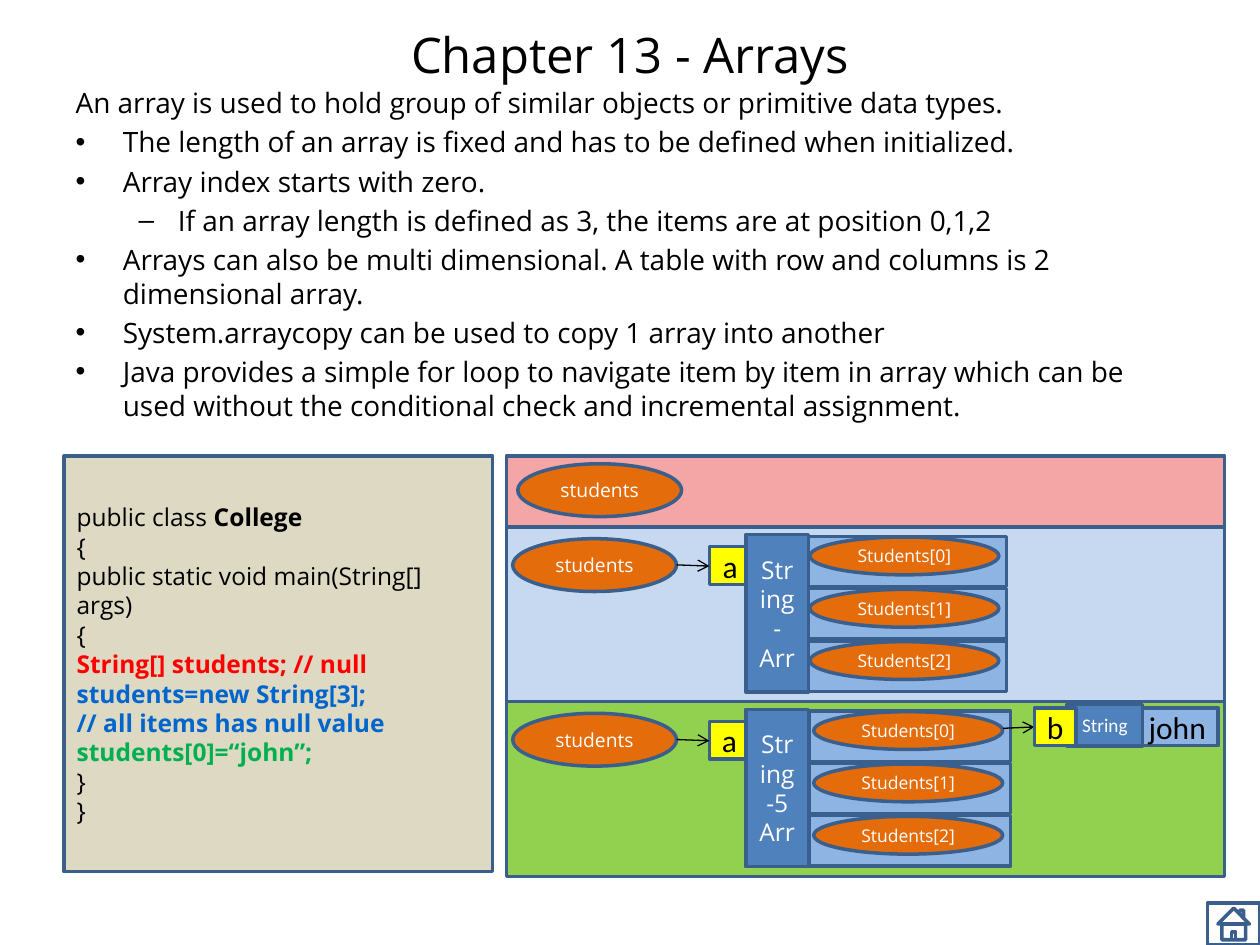
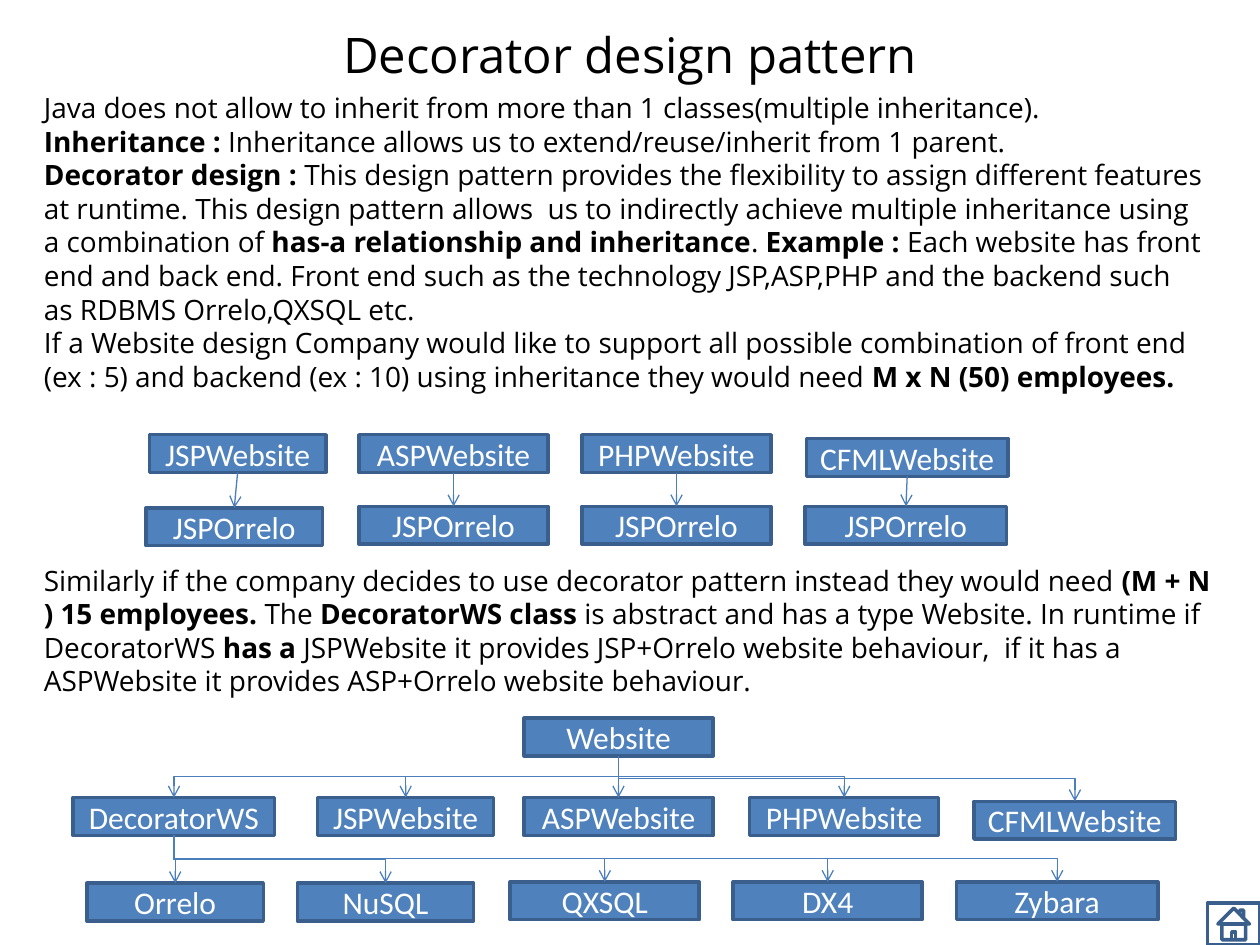
from lxml import etree
from pptx import Presentation
from pptx.dml.color import RGBColor
from pptx.enum.shapes import MSO_CONNECTOR, MSO_SHAPE
from pptx.enum.text import MSO_ANCHOR, PP_ALIGN
from pptx.oxml.ns import qn
from pptx.util import Pt

RECT = MSO_SHAPE.RECTANGLE
OVAL = MSO_SHAPE.OVAL
HOME = MSO_SHAPE.ACTION_BUTTON_HOME
STRAIGHT = MSO_CONNECTOR.STRAIGHT
ELBOW = MSO_CONNECTOR.ELBOW
LEFT, MID, RIGHT = PP_ALIGN.LEFT, PP_ALIGN.CENTER, PP_ALIGN.RIGHT
CENTER = MSO_ANCHOR.MIDDLE
SANS, PLAIN = "Open Sans", "Calibri"
BLACK, WHITE, EDGE, LINK = "000000", "FFFFFF", "3A5F8C", "4B7EBC"
BLUE, PALE, SKY = "4F81BD", "C6D9F1", "8EB4E3"
ORANGE, YELLOW, GREEN, PINK, SAND = "E46C0A", "FFFF00", "92D050", "F4A6A6", "DDD9C3"
RED, NAVY, LEAF = "FF0000", "0066CC", "00B050"

POINTS = [
    (0, "An array is used to hold group of similar objects or primitive data types."),
    (0, "The length of an array is fixed and has to be defined when initialized."),
    (0, "Array index starts with zero."),
    (1, "If an array length is defined as 3, the items are at position 0,1,2"),
    (0, "Arrays can also be multi dimensional. A table with row and columns is 2 "
        "dimensional array."),
    (0, "System.arraycopy can be used to copy 1 array into another"),
    (0, "Java provides a simple for loop to navigate item by item in array which can be "
        "used without the conditional check and incremental assignment."),
]
CODE = [
    ("public class *College*", BLACK),
    ("{", BLACK),
    ("public static void main(String[] args)", BLACK),
    ("{", BLACK),
    ("*String[] students; // null*", RED),
    ("*students=new String[3];*", NAVY),
    ("*// all items has null value*", NAVY),
    ("*students[0]=“john”;*", LEAF),
    ("}", BLACK),
    ("}", BLACK),
]
INTRO = [
    "Java does not allow to inherit from more than 1 classes(multiple inheritance).",
    "*Inheritance : *Inheritance allows us to extend/reuse/inherit from 1 parent.",
    "*Decorator design : *This design pattern provides the flexibility to assign different "
    "features at runtime. This design pattern allows  us to indirectly achieve multiple "
    "inheritance using a combination of *has-a relationship and inheritance*. *Example : *"
    "Each website has front end and back end. Front end such as the technology JSP,ASP,PHP "
    "and the backend such as RDBMS Orrelo,QXSQL etc.",
    "If a Website design Company would like to support all possible combination of front end "
    "(ex : 5) and backend (ex : 10) using inheritance they would need "
    "*M x N (50) employees.*",
]
OUTCOME = [
    "Similarly if the company decides to use decorator pattern instead they would need "
    "*(M + N ) 15 employees. *The *DecoratorWS class *is abstract and has a type Website. "
    "In runtime if DecoratorWS *has a *JSPWebsite it provides JSP+Orrelo website behaviour,  "
    "if it has a ASPWebsite it provides ASP+Orrelo website behaviour.",
]
SITES = ["JSPWebsite", "ASPWebsite", "PHPWebsite", "CFMLWebsite"]
WIDTHS = [100.8, 108, 108, 115.2]


def rgb(code):
    return RGBColor.from_string(code)


def style(run, size, color=BLACK, face=SANS, bold=False):
    run.font.size = Pt(size)
    run.font.name = face
    run.font.bold = bold
    run.font.color.rgb = rgb(color)


def place(shape, left, top, width, height):
    shape.left, shape.top = Pt(left), Pt(top)
    shape.width, shape.height = Pt(width), Pt(height)


def write(frame, lines, size, align=LEFT):
    for num, (text, color) in enumerate(lines):
        para = frame.add_paragraph() if num else frame.paragraphs[0]
        para.alignment = align
        for part, words in enumerate(text.split("*")):
            if words:
                run = para.add_run()
                run.text = words
                style(run, size, color, bold=part % 2 == 1)


def box(slide, kind, area, fill, text="", size=18, color=WHITE, face=PLAIN, align=MID):
    shape = slide.shapes.add_shape(kind, *map(Pt, area))
    shape.shadow.inherit = False
    if fill:
        shape.fill.solid()
        shape.fill.fore_color.rgb = rgb(fill)
    else:
        shape.fill.background()
    shape.line.color.rgb = rgb(EDGE)
    shape.line.width = Pt(2)
    if text:
        shape.text_frame.text = text
        for para in shape.text_frame.paragraphs:
            para.alignment = align
            for run in para.runs:
                style(run, size, color, face)
    return shape


def finish(line, color):
    line.line.color.rgb = rgb(color)
    line.line.width = Pt(0.75)
    props = line._element.spPr
    tail = etree.SubElement(props.find(qn("a:ln")), qn("a:tailEnd"))
    tail.set("type", "arrow")
    etree.SubElement(props, qn("a:effectLst"))


def arrow(slide, ends, color=BLACK):
    finish(slide.shapes.add_connector(STRAIGHT, *ends), color)


def middle(shape):
    return shape.left + shape.width // 2


def drop(slide, upper, lower):
    arrow(slide, (middle(upper), upper.top + upper.height, middle(lower), lower.top), LINK)


def branch(slide, upper, lower):
    start, end = middle(upper), middle(lower)
    top = upper.top + upper.height
    half, tall = abs(end - start) // 2, (lower.top - top) // 2
    x, y = (start + end) // 2, top + tall
    line = slide.shapes.add_connector(ELBOW, x - tall, y - half, x + tall, y + half)
    frame = line._element.spPr.find(qn("a:xfrm"))
    if end < start:
        frame.set("rot", "5400000")
    else:
        frame.set("rot", "16200000")
        frame.set("flipH", "1")
    finish(line, LINK)


def start(deck, layout, title):
    slide = deck.slides.add_slide(deck.slide_layouts[layout])
    head = slide.shapes.title
    place(head, 36, 3, 648, 56)
    head.text_frame.text = title
    head.text_frame.vertical_anchor = CENTER
    para = head.text_frame.paragraphs[0]
    para.alignment = MID
    style(para.runs[0], 28)
    box(slide, HOME, (690, 516, 30, 24), None)
    return slide


def bullets(slide):
    body = slide.placeholders[1]
    place(body, 36, 45.4, 648, 450)
    frame = body.text_frame
    frame.text = "\n".join(text for _, text in POINTS)
    for para, (level, _) in zip(frame.paragraphs, POINTS):
        para.level = level
        style(para.runs[0], 16)
    etree.SubElement(frame.paragraphs[0]._p.get_or_add_pPr(), qn("a:buNone"))


def prose(slide, top, height, lines, width):
    area = slide.shapes.add_textbox(Pt(18), Pt(top), Pt(width), Pt(height))
    area.text_frame.word_wrap = True
    write(area.text_frame, [(text, BLACK) for text in lines], 16)


def name(slide, left, top):
    box(slide, OVAL, (left, top, 93.6, 30.2), ORANGE, "students", 11, face=SANS)


def tag(slide, left, top, text, width=23.8):
    box(slide, RECT, (left, top, width, 21.6), YELLOW, text, color=BLACK)


def array(slide, top, fill, label, shift, wide):
    box(slide, RECT, (289.4, top, 410.4, 100), fill)
    name(slide, 293, top + 6.6)
    tag(slide, 405.4, top + 11.2, "a", wide)
    arrow(slide, map(Pt, (386.6, top + 21.6, 405.4, top + 22.3)))
    for num in range(3):
        left, y = 460.1 + shift, top + 5.3 + 29.9 * num
        box(slide, RECT, (left, y, 115.2, 28.8), SKY)
        box(slide, OVAL, (left + 2.7, y + 0.4, 108, 21.6), ORANGE,
            f"Students[{num}]", 10, face=SANS)
    box(slide, RECT, (426.2, top + 4.3, 36, 90), BLUE, label + "\nArr", 14, face=SANS)


def row(slide, names, lefts, tops, widths):
    return [box(slide, RECT, (left, top, width, 21.6), BLUE, text)
            for text, left, top, width in zip(names, lefts, tops, widths)]


def arrays(deck):
    slide = start(deck, 1, "Chapter 13 - Arrays")
    bullets(slide)
    code = box(slide, RECT, (36.7, 260.6, 244.8, 237.6), SAND)
    write(code.text_frame, CODE, 14)
    box(slide, RECT, (289.4, 260.6, 410.4, 43.2), PINK)
    name(slide, 295.9, 265)
    array(slide, 301.2, PALE, "String-", 0, 23.8)
    array(slide, 401, GREEN, "String-5", 2.2, 21.6)
    arrow(slide, map(Pt, (573.1, 416.2, 591.1, 415.4)))
    box(slide, RECT, (609.8, 404.6, 86.4, 21.6), SKY, "john", color=BLACK, align=RIGHT)
    box(slide, RECT, (609.8, 402.5, 43.2, 23.8), BLUE, "String", 11)
    tag(slide, 591.1, 404.6, "b")


def pattern(deck):
    slide = start(deck, 5, "Decorator design pattern")
    prose(slide, 48.2, 200.9, INTRO, 678.2)
    uppers = row(slide, SITES, [85.4, 205.2, 332.6, 460.8],
                 [248.4] * 3 + [250.6], WIDTHS)
    lowers = row(slide, ["JSPOrrelo"] * 4, [83.5, 205.2, 332.6, 460.1],
                 [290.2] + [289.4] * 3, WIDTHS)
    for upper, lower in zip(uppers, lowers):
        drop(slide, upper, lower)
    root = row(slide, ["Website"], [299.5], [410.4], [108])[0]
    kinds = row(slide, ["DecoratorWS"] + SITES, [41.8, 181.4, 299.5, 428.4, 556.6],
                [455.8] * 4 + [457.9], [115.2] + WIDTHS)
    stores = row(slide, ["Orrelo", "NuSQL", "QXSQL", "DX4", "Zybara"],
                 [49.7, 169.9, 291.6, 419, 546.5],
                 [504.7] * 2 + [504] * 3, [100.8] + WIDTHS)
    for kind in kinds:
        branch(slide, root, kind)
    for store in stores:
        branch(slide, kinds[0], store)
    prose(slide, 318.2, 104.4, OUTCOME, 684)


def main():
    deck = Presentation()
    deck.slide_width, deck.slide_height = Pt(720), Pt(540)
    arrays(deck)
    pattern(deck)
    deck.save("out.pptx")


main()
